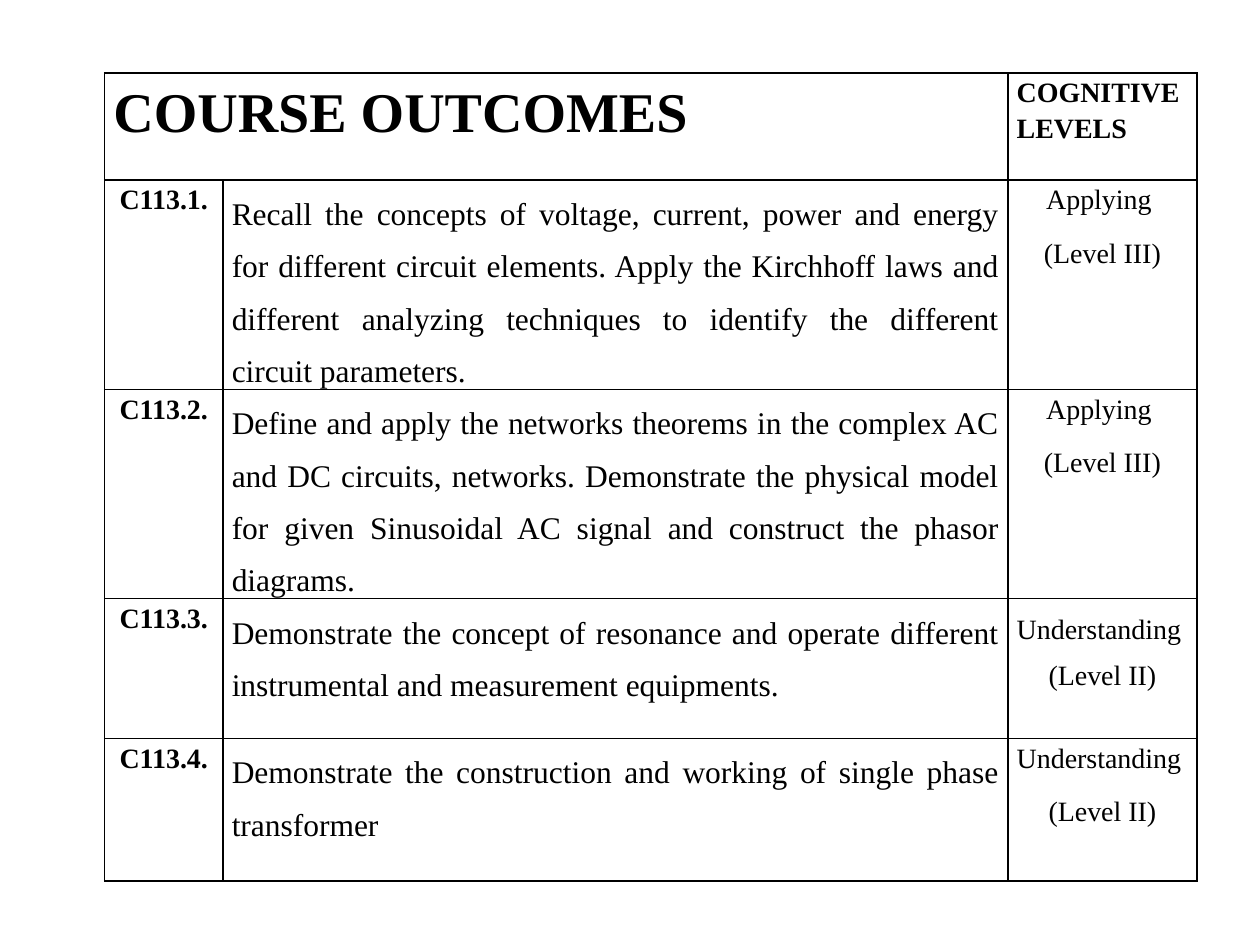
from lxml.etree import SubElement
from pptx import Presentation
from pptx.dml.color import RGBColor
from pptx.enum.text import PP_ALIGN as Align
from pptx.oxml.ns import qn
from pptx.util import Inches, Pt

INK = "000000"
WIDTHS = [0.94, 6.23, 1.5]
HEIGHTS = [0.85, 1.66, 1.66, 1.11, 1.13]
ROWS = [
    ("C113.1.", "Recall the concepts of voltage, current, power and energy for different "
     "circuit elements. Apply the Kirchhoff laws and different analyzing techniques to "
     "identify the different circuit parameters.",
     "Applying \n(Level III)", 1.15, 10),
    ("C113.2.", "Define and apply the networks theorems in the complex AC and DC circuits, "
     "networks. Demonstrate the physical model for given Sinusoidal AC signal and construct "
     "the phasor diagrams.",
     "Applying \n(Level III)", 1.15, 10),
    ("C113.3.", "Demonstrate the concept of resonance and operate different instrumental "
     "and measurement equipments. ",
     "Understanding \n(Level II)", 1.5, 0),
    ("C113.4.", "Demonstrate the construction and working of single phase transformer",
     "Understanding \n(Level II)", 1.15, 10),
]


def write(cell, text, size=16, bold=False, align=Align.LEFT, line=1.15, after=0):
    frame = cell.text_frame
    for i, part in enumerate(text.split("\n")):
        para = frame.add_paragraph() if i else frame.paragraphs[0]
        para.alignment = align
        para.line_spacing = line
        para.space_after = Pt(after)
        run = para.add_run()
        run.text = part
        font = run.font
        font.name = "Times New Roman"
        font.size = Pt(size)
        font.bold = bold
        font.color.rgb = RGBColor.from_string(INK)


def frame_cell(cell):
    cell.margin_left = cell.margin_right = Inches(0.07)
    cell.margin_top = cell.margin_bottom = 0
    props = cell._tc.get_or_add_tcPr()
    for side in ("lnL", "lnR", "lnT", "lnB"):
        edge = SubElement(props, qn(f"a:{side}"), w=str(Pt(1)))
        fill = SubElement(edge, qn("a:solidFill"))
        SubElement(fill, qn("a:srgbClr"), val=INK)
    cell.fill.background()


deck = Presentation()
deck.slide_width = Inches(10)
deck.slide_height = Inches(7.5)
slide = deck.slides.add_slide(deck.slide_layouts[6])

table = slide.shapes.add_table(
    len(HEIGHTS), len(WIDTHS), Inches(0.83), Inches(0.58),
    Inches(sum(WIDTHS)), Inches(sum(HEIGHTS))).table
table.first_row = False
table.horz_banding = False
for col, width in zip(table.columns, WIDTHS):
    col.width = Inches(width)
for row, height in zip(table.rows, HEIGHTS):
    row.height = Inches(height)
for cell in table.iter_cells():
    frame_cell(cell)

table.cell(0, 0).merge(table.cell(0, 1))
write(table.cell(0, 0), "COURSE OUTCOMES", size=32, bold=True)
write(table.cell(0, 2), "COGNITIVE LEVELS", bold=True)

for r, (code, goal, level, line, after) in enumerate(ROWS, 1):
    write(table.cell(r, 0), code, bold=True, align=Align.CENTER, after=10)
    write(table.cell(r, 1), goal, size=18, align=Align.JUSTIFY, line=1.5)
    write(table.cell(r, 2), level, align=Align.CENTER, line=line, after=after)

deck.save("out.pptx")
